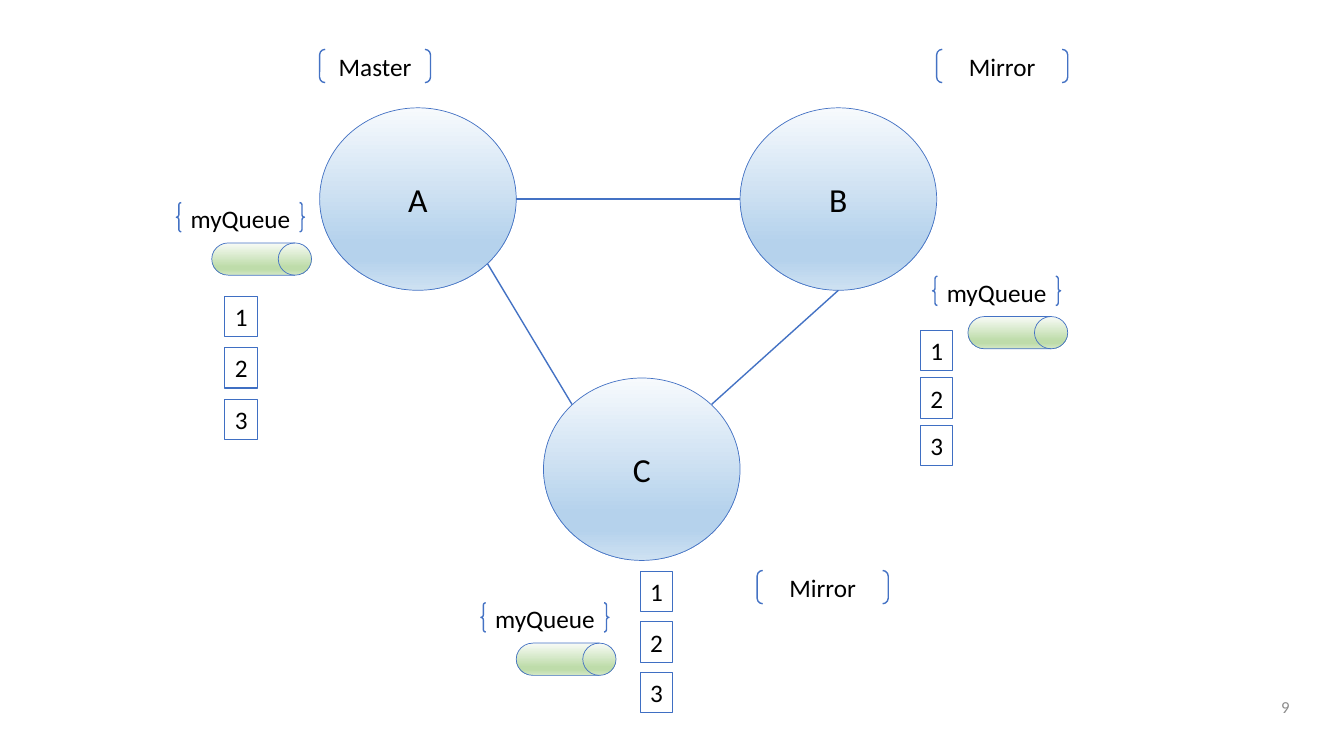
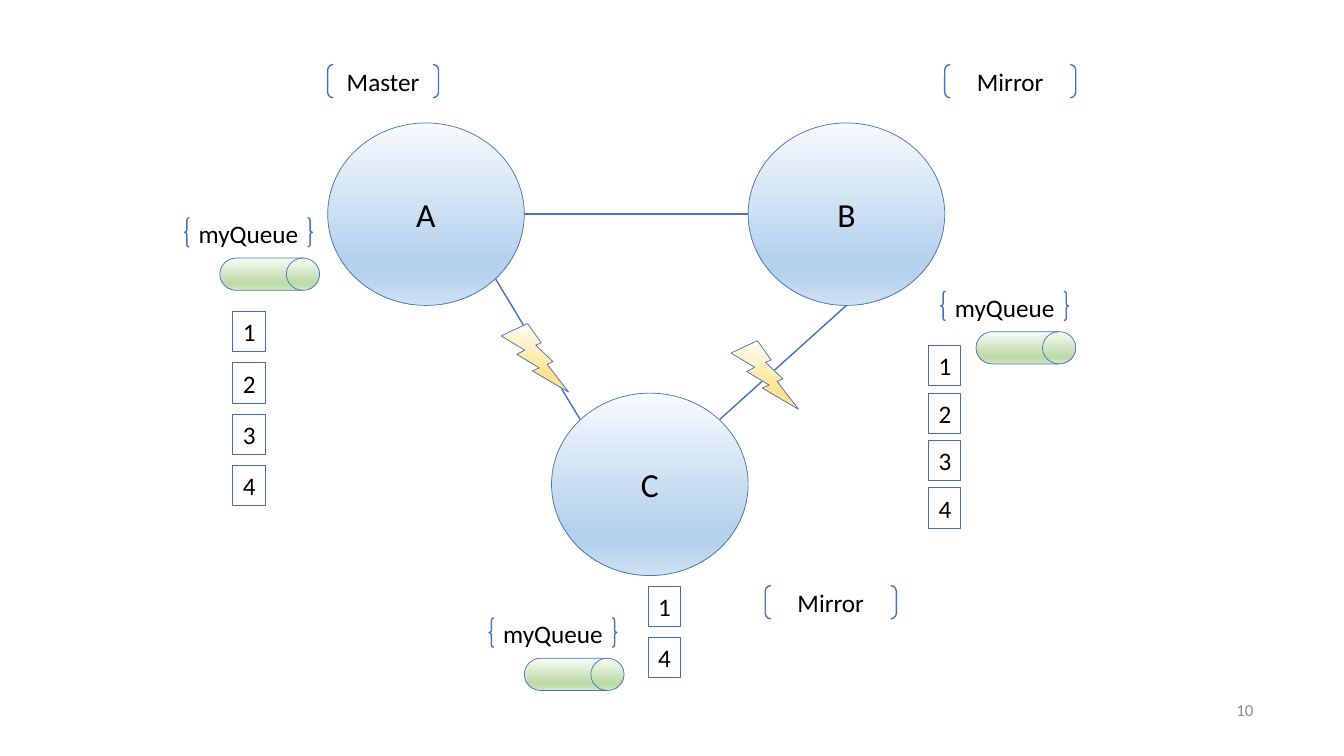
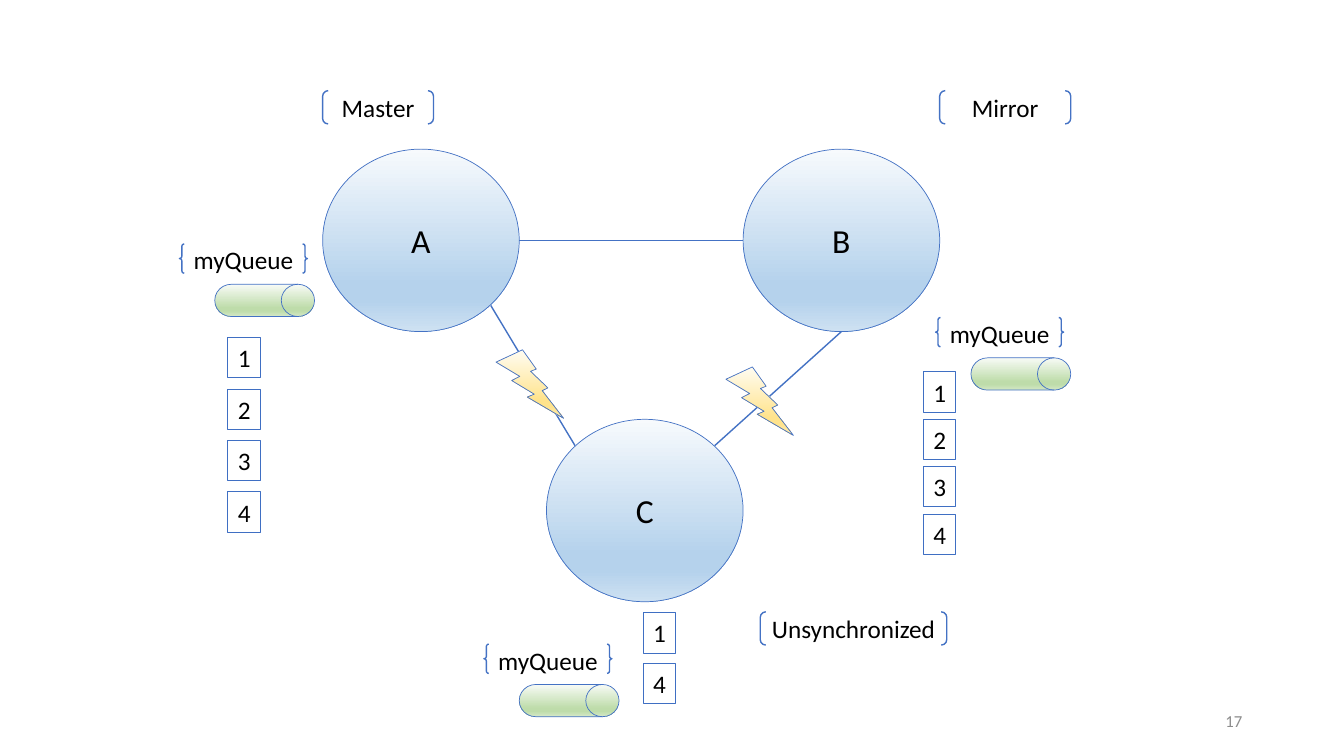
from dataclasses import dataclass
from math import cos, radians, sin
from typing import Any

from lxml.etree import SubElement
from pptx import Presentation
from pptx.dml.color import RGBColor
from pptx.enum.shapes import MSO_CONNECTOR, MSO_SHAPE as Shape
from pptx.enum.text import MSO_ANCHOR as Anchor, PP_ALIGN as Align
from pptx.oxml.ns import qn
from pptx.util import Inches, Pt

FONT = "Calibri"
BLACK = RGBColor(0x00, 0x00, 0x00)
GRAY = RGBColor(0x8C, 0x8C, 0x8C)
BLUE = RGBColor(0x44, 0x72, 0xC4)
EDGE = RGBColor(0x3F, 0x6F, 0xC3)

# Light top, strong band, softer foot
SKY = [RGBColor(0xF7, 0xFA, 0xFD), RGBColor(0xB5, 0xD2, 0xEC), RGBColor(0xCE, 0xE1, 0xF2)]
LEAF = [RGBColor(0xF8, 0xFB, 0xF6), RGBColor(0xBE, 0xDC, 0xAA), RGBColor(0xD4, 0xE8, 0xC6)]
GOLD = [RGBColor(0xFF, 0xFC, 0xF2), RGBColor(0xFF, 0xE3, 0x8C), RGBColor(0xFF, 0xEC, 0xB2)]

NODE_W, NODE_H = 1.95, 1.81
NODES = {"A": (3.17, 1.07), "B": (7.34, 1.07), "C": (5.39, 3.75)}
LINKS = [("C", 225, "A", 45), ("C", 315, "B", 90), ("A", 0, "B", 180)]
QUEUES = [(2.1, 2.41), (5.12, 6.38), (9.6, 3.14)]
BOLTS = [(7.17, 3.23), (4.89, 3.06)]
# Left, top and step of the messages beside each node
STACKS = {"A": (2.23, 2.94, 0.51), "B": (9.13, 3.28, 0.47), "C": (6.35, 5.67, 0.5)}


@dataclass
class Canvas:
    """A slide whose diagram is shifted by dx, dy."""
    slide: Any
    dx: float
    dy: float

    def at(self, x, y):
        return Inches(x + self.dx), Inches(y + self.dy)


def write(shape, text, size, color=BLACK, align=Align.CENTER, anchor=Anchor.MIDDLE):
    frame = shape.text_frame
    frame.word_wrap = False
    frame.vertical_anchor = anchor
    para = frame.paragraphs[0]
    para.text = text
    para.alignment = align
    para.font.name = FONT
    para.font.size = Pt(size)
    para.font.color.rgb = color


def shade(shape, colors):
    """Fill from top to bottom, with a flat band between 74 and 83 %."""
    shape.fill.gradient()
    shape.fill.gradient_angle = 270
    stops = shape._element.spPr.find(".//" + qn("a:gsLst"))
    stops.clear()
    top, band, foot = colors
    for pos, color in [(0, top), (74, band), (83, band), (100, foot)]:
        stop = SubElement(stops, qn("a:gs"), pos=str(pos * 1000))
        SubElement(stop, qn("a:srgbClr"), val=str(color))


def draw(canvas, kind, x, y, width, height, line=0.5, color=BLUE, colors=None):
    shape = canvas.slide.shapes.add_shape(kind, *canvas.at(x, y), Inches(width), Inches(height))
    shape.shadow.inherit = False
    shape.line.color.rgb = color
    shape.line.width = Pt(line)
    if colors:
        shade(shape, colors)
    else:
        shape.fill.background()
    return shape


def rim(name, angle):
    """Point on a node's edge, in degrees clockwise from the right."""
    x, y = NODES[name]
    turn = radians(angle)
    return x + NODE_W / 2 * (1 + cos(turn)), y + NODE_H / 2 * (1 + sin(turn))


def add_node(canvas, name):
    node = draw(canvas, Shape.OVAL, *NODES[name], NODE_W, NODE_H, colors=SKY)
    write(node, name, 24)


def add_link(canvas, start, out, end, into):
    ends = canvas.at(*rim(start, out)) + canvas.at(*rim(end, into))
    link = canvas.slide.shapes.add_connector(MSO_CONNECTOR.STRAIGHT, *ends)
    link.line.color.rgb = BLUE
    link.line.width = Pt(1)
    SubElement(link._element.spPr, qn("a:effectLst"))


def add_role(canvas, text, x, y, width):
    write(draw(canvas, Shape.DOUBLE_BRACKET, x, y, width, 0.33, line=1), text, 18)


def add_queue(canvas, x, y):
    draw(canvas, Shape.FLOWCHART_DIRECT_ACCESS_STORAGE, x, y, 0.99, 0.32, colors=LEAF)
    label = draw(canvas, Shape.DOUBLE_BRACE, x - 0.35, y - 0.4, 1.27, 0.29, line=1)
    write(label, "myQueue", 18)


def add_stack(canvas, name, items):
    x, y, step = STACKS[name]
    for row, item in enumerate(items):
        box = draw(canvas, Shape.RECTANGLE, x, y + row * step, 0.32, 0.4, line=0.75, color=EDGE)
        write(box, item, 18, align=Align.LEFT, anchor=Anchor.TOP)


def add_number(slide, number, x, y):
    box = slide.shapes.add_textbox(Inches(x), Inches(y), Inches(3), Inches(0.4))
    write(box, number, 12, GRAY, Align.RIGHT)
    box.text_frame.word_wrap = True


def add_cluster(canvas, role, width, stacks, broken):
    """Draw the three nodes; role is that of node C, broken cuts its links."""
    for link in LINKS:
        add_link(canvas, *link)
    for name in NODES:
        add_node(canvas, name)
    add_role(canvas, "Master", 3.17, 0.49, 1.1)
    add_role(canvas, "Mirror", 9.29, 0.49, 1.3)
    add_role(canvas, role, 7.51, 5.66, width)
    for spot in QUEUES:
        add_queue(canvas, *spot)
    for name, items in zip(NODES, stacks):
        add_stack(canvas, name, items)
    if broken:
        for spot in BOLTS:
            draw(canvas, Shape.LIGHTNING_BOLT, *spot, 0.67, 0.68, colors=GOLD)


def main():
    deck = Presentation()
    deck.slide_width, deck.slide_height = Inches(13.33), Inches(7.5)
    synced = ("123", "123", "123")
    split = ("1234", "1234", "14")
    pages = [
        (("9", 9.89, 6.81), (0, 0), ("Mirror", 1.3, synced, False)),
        (("10", 9.53, 6.84), (0.08, 0.15), ("Mirror", 1.3, split, True)),
        (("17", 9.42, 6.95), (0.03, 0.41), ("Unsynchronized", 1.85, split, True)),
    ]
    for number, shift, state in pages:
        slide = deck.slides.add_slide(deck.slide_layouts[6])
        add_number(slide, *number)
        add_cluster(Canvas(slide, *shift), *state)
    deck.save("out.pptx")


if __name__ == "__main__":
    main()
